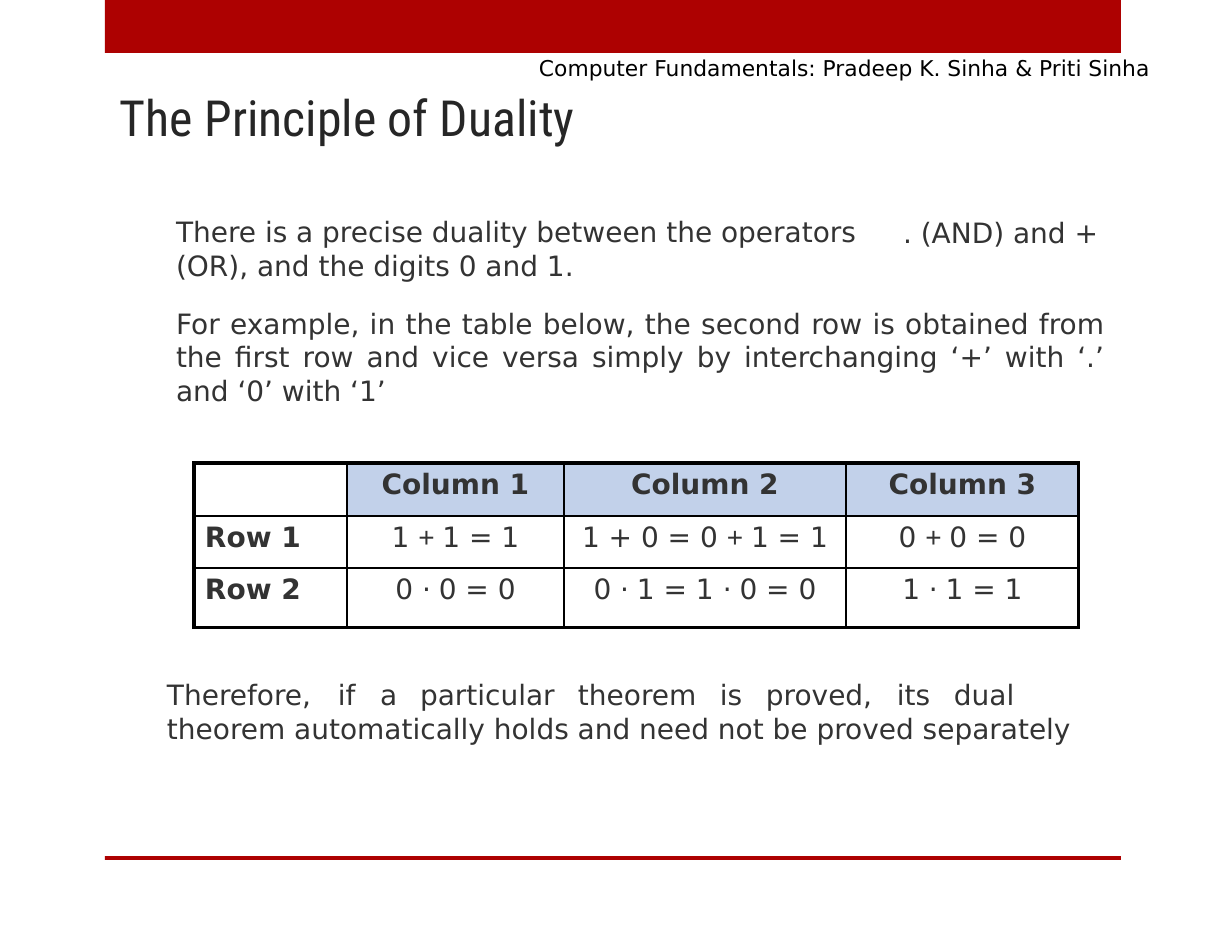
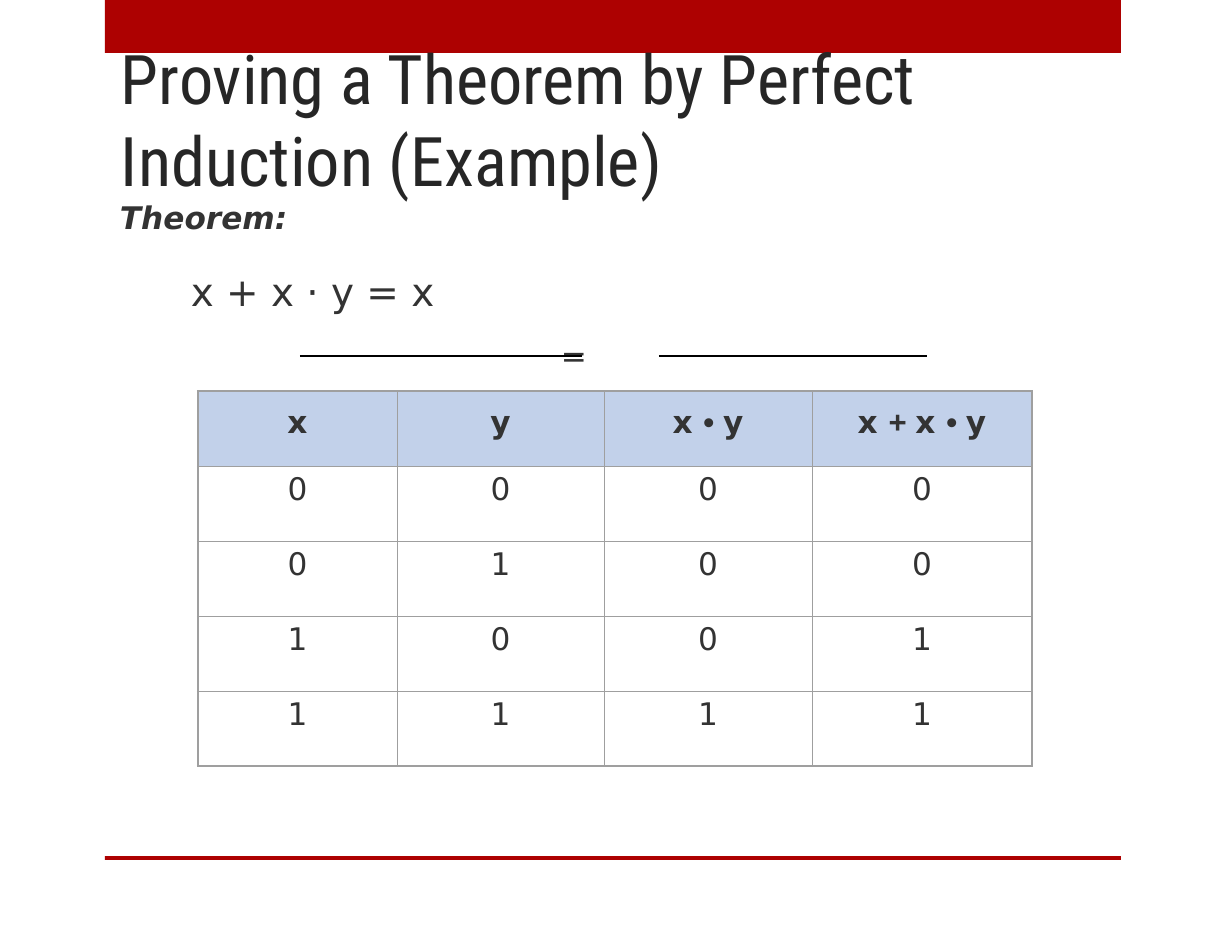
"""Build two slides on Boolean duality and proof by perfect induction."""
import pptx
import pptx.dml.color
import pptx.enum.shapes
import pptx.enum.text
import pptx.oxml
import pptx.oxml.ns
import pptx.util

RGBColor = pptx.dml.color.RGBColor
Align = pptx.enum.text.PP_ALIGN
Anchor = pptx.enum.text.MSO_ANCHOR
Pt = pptx.util.Pt

RED = RGBColor(0xAD, 0x01, 0x01)
BLACK = RGBColor(0, 0, 0)
TITLE_GREY = RGBColor(0x26, 0x26, 0x26)
TEXT_GREY = RGBColor(0x33, 0x33, 0x33)
HEADER_BLUE = RGBColor(0xC2, 0xD1, 0xEA)
BORDER_GREY = RGBColor(0x9F, 0x9F, 0x9F)
BODY_FONT, SYMBOL_FONT, TITLE_FONT = "DejaVu Sans", "Arial", "Roboto Condensed"
EMU_PER_PX = 914400 / 112
SLIDE_SIZE = (1232, 952)
BANDS = [(105, 0, 1016, 53), (105, 856, 1016, 4)]

DUALITY = {
    "title": ("The Principle of Duality", (120, 83, 656, 64), 32),
    "texts": [
        ((538, 54, 622, 28), [("Computer Fundamentals: Pradeep K. Sinha & Priti Sinha",
                               {"size": 14, "color": BLACK})]),
        ((175, 214, 706, 71), [("There is a precise duality between the operators "
                                "(OR), and the digits 0 and 1.", {})]),
        ((902, 214, 213, 37), [(". (AND) and +", {})]),
        ((175, 305, 930, 104), [("For example, in the table below, the second row is obtained from "
                                 "the first row and vice versa simply by interchanging ‘+’ with ‘.’ "
                                 "and ‘0’ with ‘1’", {"align": Align.JUSTIFY})]),
        ((166, 677, 991, 71), [("Therefore,\tif\ta\tparticular\ttheorem\tis\tproved,\tits\tdual\t"
                                "theorem automatically holds and need not be proved separately",
                                {"tabs": (171, 213, 253, 411, 553, 599, 730, 787)})]),
    ],
    "rules": [],
    "table": {
        "at": (194, 463), "columns": (153, 217, 282, 233), "rows": (53, 52, 60),
        "size": 18, "row_labels": True, "margins": (6, 6), "before": (3.4, 3.4),
        "color": BLACK, "inner": 1, "outer": {"L": 2.25, "R": 2.25, "T": 2.25, "B": 2.25},
        "cells": [
            [(), ("Column 1",), ("Column 2",), ("Column 3",)],
            [("Row 1",), ("1 ", "+ ", "1 = 1"), ("1 + 0 = 0 ", "+ ", "1 = 1"), ("0 ", "+ ", "0 = 0")],
            [("Row 2",), ("0 ", "⋅ ", "0 = 0"), ("0 ", "⋅ ", "1 = 1 ", "⋅ ", "0 = 0"),
             ("1 ", "⋅ ", "1 = 1")],
        ],
    },
}

INDUCTION = {
    "title": ("Proving a Theorem by Perfect Induction (Example)", (121, 32, 844, 168), 44),
    "texts": [
        ((119, 197, 468, 180), [
            ("Theorem:", {"size": 20, "bold": True, "italic": True}),
            ("x + x · y = x", {"size": 25, "before": 20.9, "indent": 72}),
            ("=", {"size": 20, "before": 13.8, "align": Align.RIGHT}),
        ]),
    ],
    "rules": [(300, 582, 356), (659, 927, 356)],
    "table": {
        "at": (198, 391), "columns": (199, 207, 208, 220), "rows": (75,) * 5,
        "size": 20, "row_labels": False, "margins": (14, 6), "before": (9.2, 3.8),
        "color": BORDER_GREY, "inner": 0.25, "outer": {"L": 1.5, "R": 1, "T": 1, "B": 1.5},
        "cells": [
            [("x",), ("y",), ("x ", "• ", "y"), ("x ", "+ ", "x ", "• ", "y")],
            *[[(str(value),) for value in (x, y, x & y, x | x & y)]
              for x in (0, 1) for y in (0, 1)],
        ],
    },
}


def px(*lengths):
    return [pptx.util.Emu(round(length * EMU_PER_PX)) for length in lengths]


def apply(target, values):
    for name, value in values.items():
        setattr(target, name, value)


def add_run(paragraph, text, color, **font_values):
    run = paragraph.add_run()
    run.text = text
    apply(run.font, font_values)
    run.font.color.rgb = color


def prepare_frame(frame, anchor):
    apply(frame, {"word_wrap": True, "auto_size": pptx.enum.text.MSO_AUTO_SIZE.NONE,
                  "vertical_anchor": anchor, "margin_left": 0, "margin_right": 0,
                  "margin_top": px(1)[0], "margin_bottom": 0})


def add_bands(presentation, slide):
    for box in BANDS:
        band = slide.shapes.add_shape(pptx.enum.shapes.MSO_SHAPE.RECTANGLE, *px(*box))
        band.shadow.inherit = False
        band.fill.solid()
        band.fill.fore_color.rgb = RED
        band.line.fill.background()
        presentation.slide_master.shapes.element.insert(2, band.element)


def set_title(slide, text, box, size):
    title = slide.shapes.title
    apply(title, dict(zip(("left", "top", "width", "height"), px(*box))))
    prepare_frame(title.text_frame, Anchor.BOTTOM)
    paragraph = title.text_frame.paragraphs[0]
    apply(paragraph, {"alignment": Align.LEFT, "space_before": Pt(0.9)})
    add_run(paragraph, text, TITLE_GREY, name=TITLE_FONT, size=Pt(size))


def add_text(slide, box, paragraphs):
    frame = slide.shapes.add_textbox(*px(*box)).text_frame
    prepare_frame(frame, Anchor.TOP)
    for index, (text, style) in enumerate(paragraphs):
        paragraph = frame.add_paragraph() if index else frame.paragraphs[0]
        apply(paragraph, {"alignment": style.get("align", Align.LEFT),
                          "space_before": Pt(style.get("before", 1))})
        properties = paragraph._p.get_or_add_pPr()
        properties.set("marL", str(px(style.get("indent", 1))[0]))
        if "tabs" in style:
            stops = pptx.oxml.ns.qn("a:tabLst")
            tab_list = properties.makeelement(stops, {})
            properties.append(tab_list)
            for position in px(*style["tabs"]):
                tab_list.append(tab_list.makeelement(
                    pptx.oxml.ns.qn("a:tab"), {"pos": str(position), "algn": "l"}))
        add_run(paragraph, text, style.get("color", TEXT_GREY), name=BODY_FONT,
                size=Pt(style.get("size", 18)), bold=style.get("bold", False),
                italic=style.get("italic", False))


def add_rule(slide, left, right, y):
    rule = slide.shapes.add_connector(pptx.enum.shapes.MSO_CONNECTOR.STRAIGHT,
                                      *px(left, y, right, y))
    rule.line.color.rgb = BLACK
    rule.line.width = Pt(1.44)
    properties = rule.element.spPr
    properties.append(properties.makeelement(pptx.oxml.ns.qn("a:effectLst"), {}))


def set_borders(cell, widths, color):
    properties = cell._tc.get_or_add_tcPr()
    for index, side in enumerate("LRTB"):
        properties.insert(index, pptx.oxml.parse_xml(
            f'<a:ln{side} xmlns:a="http://schemas.openxmlformats.org/drawingml/2006/main" '
            f'w="{Pt(widths[side])}"><a:solidFill><a:srgbClr val="{color}"/></a:solidFill>'
            f'</a:ln{side}>'))


def add_table(slide, content):
    columns, rows = content["columns"], content["rows"]
    box = px(*content["at"], sum(columns), sum(rows))
    table = slide.shapes.add_table(len(rows), len(columns), *box).table
    apply(table, {"first_row": False, "horz_banding": False})
    for column, width in zip(table.columns, px(*columns)):
        column.width = width
    for row, height in zip(table.rows, px(*rows)):
        row.height = height
    for row, line in enumerate(content["cells"]):
        for column, fragments in enumerate(line):
            cell = table.cell(row, column)
            is_label = content["row_labels"] and column == 0
            kind = 0 if row == 0 else 1
            apply(cell, {"margin_left": px(11)[0] if is_label else 0, "margin_right": 0,
                         "margin_top": px(content["margins"][kind])[0], "margin_bottom": 0})
            if row == 0 and fragments:
                cell.fill.solid()
                cell.fill.fore_color.rgb = HEADER_BLUE
            else:
                cell.fill.background()
            on_edge = {"L": column == 0, "R": column == len(columns) - 1,
                       "T": row == 0, "B": row == len(rows) - 1}
            set_borders(cell, {side: content["outer"][side] if edge else content["inner"]
                               for side, edge in on_edge.items()}, content["color"])
            paragraph = cell.text_frame.paragraphs[0]
            apply(paragraph, {"alignment": Align.LEFT if is_label else Align.CENTER,
                              "space_before": Pt(content["before"][kind])})
            for index, text in enumerate(fragments):
                add_run(paragraph, text, TEXT_GREY, size=Pt(content["size"]),
                        name=SYMBOL_FONT if index % 2 else BODY_FONT,
                        bold=row == 0 or is_label)


def main():
    presentation = pptx.Presentation()
    apply(presentation, dict(zip(("slide_width", "slide_height"), px(*SLIDE_SIZE))))
    for content in (DUALITY, INDUCTION):
        slide = presentation.slides.add_slide(presentation.slide_layouts[5])
        if content is DUALITY:
            add_bands(presentation, slide)
        set_title(slide, *content["title"])
        for box, paragraphs in content["texts"]:
            add_text(slide, box, paragraphs)
        for rule in content["rules"]:
            add_rule(slide, *rule)
        add_table(slide, content["table"])
    presentation.save("out.pptx")


if __name__ == "__main__":
    main()
